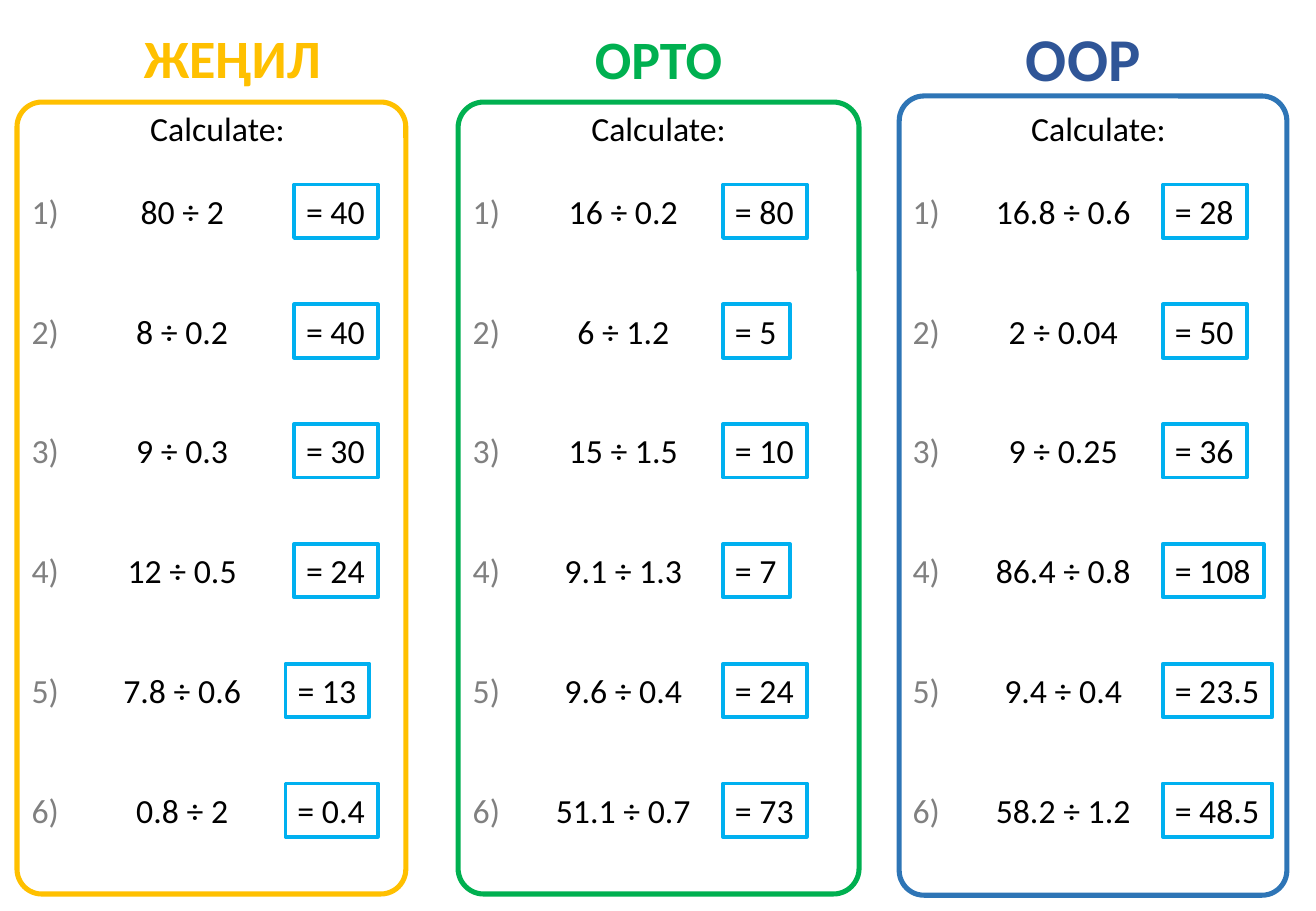
from pptx import Presentation
from pptx.dml.color import RGBColor
from pptx.enum.shapes import MSO_SHAPE
from pptx.enum.text import MSO_ANCHOR, MSO_AUTO_SIZE, PP_ALIGN
from pptx.util import Inches, Pt

prs = Presentation()
prs.slide_width, prs.slide_height = Inches(10.83), Inches(7.5)
s = prs.slides.add_slide(prs.slide_layouts[6])


def add_box(shape, x, y, w, h, fill=None, line=None, weight=3):
    sp = s.shapes.add_shape(shape, Inches(x), Inches(y), Inches(w), Inches(h))
    sp.shadow.inherit = False
    for part, color in ((sp.fill, fill), (sp.line.fill, line)):
        if color:
            part.solid()
            part.fore_color.rgb = RGBColor.from_string(color)
        else:
            part.background()
    if line:
        sp.line.width = Pt(weight)
    return sp


def write(sp, text, color="000000", size=20, bold=False, align=PP_ALIGN.CENTER,
          wrap=False, anchor=MSO_ANCHOR.TOP):
    tf = sp.text_frame
    tf.text = text
    tf.word_wrap = wrap
    tf.auto_size = MSO_AUTO_SIZE.SHAPE_TO_FIT_TEXT
    tf.vertical_anchor = anchor
    p = tf.paragraphs[0]
    p.alignment = align
    font = p.runs[0].font
    font.name, font.size, font.bold = "Calibri", Pt(size), bold
    font.color.rgb = RGBColor.from_string(color)
    return tf


ROW_TOP, ROW_STEP, ROW_H = 1.52, 0.986, 0.44
DIGIT_W, DOT_W = 0.14, 0.07

levels = [
    dict(panel=(0.14, 0.84, 3.2, 6.52), line="FFC000", left=0.14,
         center=1.5, label=1.79, answers=[2.42] * 4 + [2.35] * 2,
         title="ЖЕҢИЛ", place=(0.86, 0.15, 2.11, 0.64), color="FFC000", size=32,
         tasks=[("80 ÷ 2", "40"), ("8 ÷ 0.2", "40"), ("9 ÷ 0.3", "30"),
                ("12 ÷ 0.5", "24"), ("7.8 ÷ 0.6", "13"), ("0.8 ÷ 2", "0.4")]),
    dict(panel=(3.77, 0.84, 3.3, 6.52), line="00B050", left=3.77,
         center=5.13, label=5.42, answers=[5.95] * 6,
         title="ОРТО", place=(4.77, 0.22, 1.3, 0.51), color="00B050", size=32,
         tasks=[("16 ÷ 0.2", "80"), ("6 ÷ 1.2", "5"), ("15 ÷ 1.5", "10"),
                ("9.1 ÷ 1.3", "7"), ("9.6 ÷ 0.4", "24"), ("51.1 ÷ 0.7", "73")]),
    dict(panel=(7.4, 0.79, 3.19, 6.58), line="2E75B6", left=7.39,
         center=8.75, label=9.04, answers=[9.57] * 6,
         title="ООР", place=(8.2, 0.12, 1.43, 0.71), color="2F5597", size=36,
         tasks=[("16.8 ÷ 0.6", "28"), ("2 ÷ 0.04", "50"), ("9 ÷ 0.25", "36"),
                ("86.4 ÷ 0.8", "108"), ("9.4 ÷ 0.4", "23.5"), ("58.2 ÷ 1.2", "48.5")]),
]

for level in levels:
    panel = add_box(MSO_SHAPE.ROUNDED_RECTANGLE, *level["panel"], line=level["line"])
    panel.adjustments[0] = 0.064

    label = s.shapes.add_textbox(Inches(level["label"] - 0.66), Inches(0.84),
                                 Inches(1.32), Inches(ROW_H))
    write(label, "Calculate:")

    for i, (task, result) in enumerate(level["tasks"]):
        y = ROW_TOP + i * ROW_STEP
        number = s.shapes.add_textbox(Inches(level["left"]), Inches(y + 0.05),
                                      Inches(0.35), Inches(0.34))
        tf = write(number, f"{i + 1})", "808080", align=PP_ALIGN.LEFT)
        tf.margin_left = Inches(0.12)
        tf.margin_top = tf.margin_right = tf.margin_bottom = 0

        task_w, result_w = (
            base + DIGIT_W * sum(c.isdigit() for c in text) + DOT_W * text.count(".")
            for base, text in ((0.47, task), (0.41, result)))

        answer = add_box(MSO_SHAPE.RECTANGLE, level["answers"][i], y, result_w, ROW_H,
                         fill="FFFFFF", line="00B0F0", weight=2.25)
        write(answer, f"= {result}", align=PP_ALIGN.LEFT)

        question = s.shapes.add_textbox(Inches(level["center"] - task_w / 2), Inches(y),
                                        Inches(task_w), Inches(ROW_H))
        write(question, task)

for level in levels:
    if level["title"] == "ОРТО":
        heading = add_box(MSO_SHAPE.RECTANGLE, *level["place"], fill="FFFFFF")
        anchor = MSO_ANCHOR.MIDDLE
    else:
        heading = s.shapes.add_textbox(*map(Inches, level["place"]))
        anchor = MSO_ANCHOR.TOP
    tf = write(heading, level["title"], level["color"], level["size"], bold=True,
               wrap=True, anchor=anchor)
    if anchor == MSO_ANCHOR.MIDDLE:
        tf.auto_size = MSO_AUTO_SIZE.NONE

prs.save("out.pptx")
